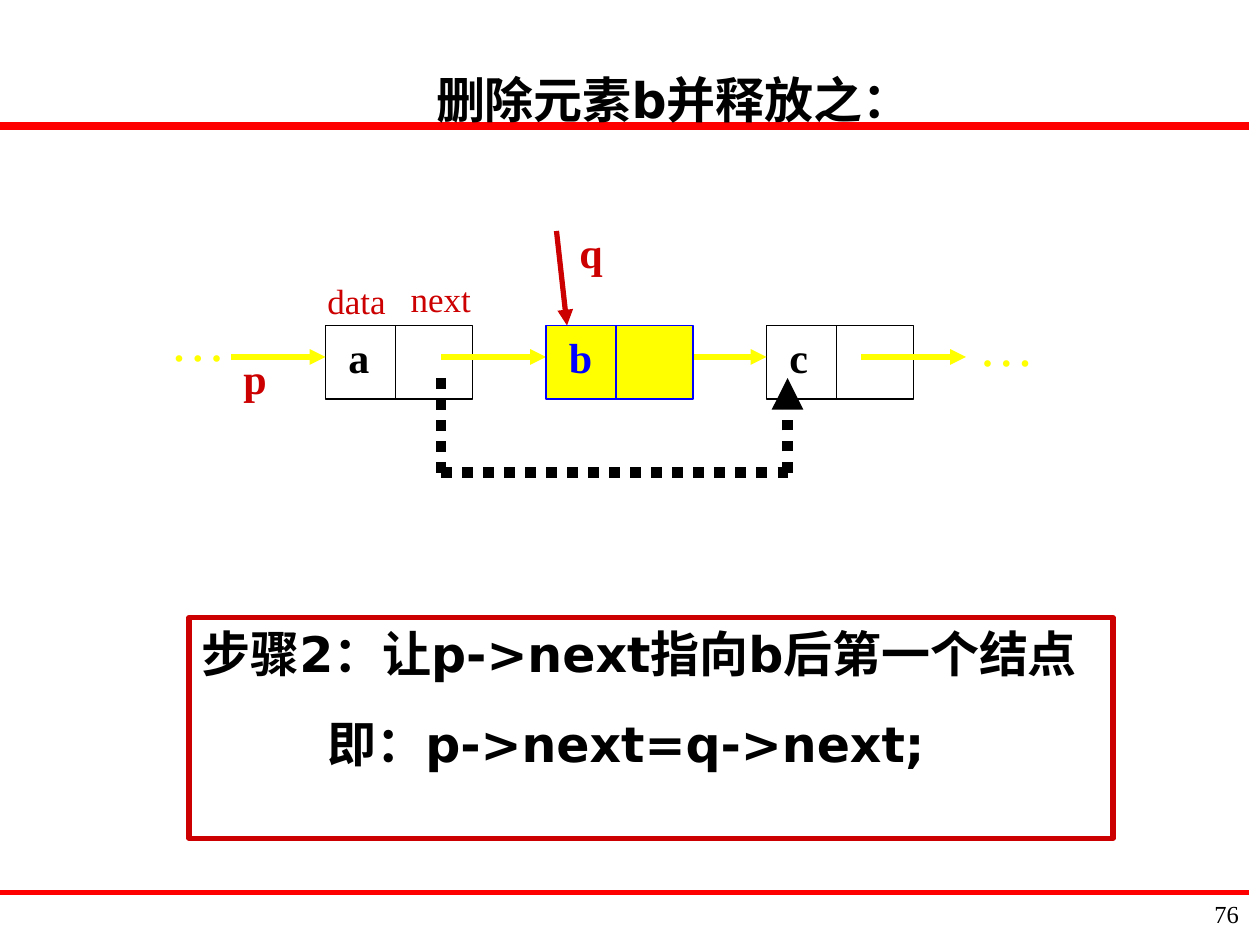
"""Linked-list slide: unlinking element b by redirecting p->next."""
from lxml.etree import SubElement
from pptx import Presentation
from pptx.dml.color import RGBColor
from pptx.enum.dml import MSO_LINE
from pptx.enum.shapes import MSO_CONNECTOR, MSO_SHAPE
from pptx.enum.text import MSO_ANCHOR, PP_ALIGN
from pptx.oxml.ns import qn
from pptx.util import Pt

COLORS = {"rule": "FF0000", "accent": "CC0000", "link": "FFFF00", "ink": "000000",
          "paper": "FFFFFF", "removed": "0000FF", "number": "010000"}
SERIF, SANS = "Times New Roman", "DejaVu Sans"

NODE_TOP, NODE_WIDTH, NODE_HEIGHT, DATA_WIDTH = 186, 84, 42, 40
NODE_LEFT = {name: 186 + 126 * i for i, name in enumerate("abc")}
LINK_Y = 204

RULES = [((0, 510), (714, 510), 3), ((0, 72), (714, 72), 4.5)]
LINKS = [(132, 186), (252, 312), (378, 438), (492, 552)]
BYPASS = [(252, 216), (252, 270), (450, 270), (450, 216)]

LABELS = [
    ("p", 132, 198, 36, 36, 24, True, "accent"),
    ("q", 324, 126, 36, 36, 24, True, "accent"),
    ("data", 180, 156, 60, 32, 20, False, "accent"),
    ("next", 227.5, 155, 49, 32, 20, False, "accent"),
    ("…", 90, 171, 54, 46, 32, False, "link"),
    ("…", 552, 174, 54, 46, 32, False, "link"),
]
TITLE = "删除元素b并释放之："
STEP = [("步骤2：让p->next指向b后第一个结点", 0), ("即：p->next=q->next;", 72)]

prs = Presentation()
prs.slide_width, prs.slide_height = Pt(720), Pt(540)
slide = prs.slides.add_slide(prs.slide_layouts[6])


def rgb(color):
    return RGBColor.from_string(COLORS[color])


def add_line(start, end, color, width, arrow=False, dotted=False):
    line = slide.shapes.add_connector(
        MSO_CONNECTOR.STRAIGHT, *(Pt(v) for v in (*start, *end)))
    line.line.color.rgb = rgb(color)
    line.line.width = Pt(width)
    if dotted:
        line.line.dash_style = MSO_LINE.ROUND_DOT
    if arrow:
        SubElement(line.line._get_or_add_ln(), qn("a:tailEnd"), type="triangle")
    SubElement(line._element.spPr, qn("a:effectLst"))


def add_rect(left, top, width, height, fill, outline, weight):
    rect = slide.shapes.add_shape(
        MSO_SHAPE.RECTANGLE, *(Pt(v) for v in (left, top, width, height)))
    rect.shadow.inherit = False
    if fill:
        rect.fill.solid()
        rect.fill.fore_color.rgb = rgb(fill)
    else:
        rect.fill.background()
    rect.line.color.rgb = rgb(outline)
    rect.line.width = Pt(weight)
    return rect


def write(paragraph, text, size, bold, color, font, align=PP_ALIGN.LEFT):
    paragraph.alignment = align
    run = paragraph.add_run()
    run.text = text
    run.font.size, run.font.bold, run.font.name = Pt(size), bold, font
    run.font.color.rgb = rgb(color)


def add_label(text, left, top, width, height, size, bold, color,
              font=SERIF, align=PP_ALIGN.LEFT):
    label = slide.shapes.add_textbox(*(Pt(v) for v in (left, top, width, height)))
    label.text_frame.word_wrap = text != "next"
    write(label.text_frame.paragraphs[0], text, size, bold, color, font, align)


def add_node(name, fill, outline, ink):
    left = NODE_LEFT[name]
    divider = left + DATA_WIDTH
    add_rect(left, NODE_TOP, NODE_WIDTH, NODE_HEIGHT, fill, outline, 0.75)
    add_line((divider, NODE_TOP), (divider, NODE_TOP + NODE_HEIGHT), outline, 0.75)
    add_label(name, left + 6, NODE_TOP, 42, 36, 24, True, ink)


for start, end, width in RULES:
    add_line(start, end, "rule", width)
add_label("76", 660, 510, 55, 30, 14, False, "number", align=PP_ALIGN.RIGHT)
add_label(TITLE, 144, 36, 482, 41, 28, True, "ink", SANS, PP_ALIGN.CENTER)

for name in "ac":
    add_node(name, "paper", "ink", "ink")
for start, end in LINKS:
    add_line((start, LINK_Y), (end, LINK_Y), "link", 3, arrow=True)
add_node("b", "link", "removed", "removed")
for start, end in zip(BYPASS, BYPASS[1:]):
    add_line(start, end, "ink", 6, arrow=end == BYPASS[-1], dotted=True)
add_line((318, 132), (324, NODE_TOP), "accent", 3, arrow=True)
for label in LABELS:
    add_label(*label)

step_frame = add_rect(108, 353, 528, 126, None, "accent", 3).text_frame
step_frame.word_wrap = True
step_frame.vertical_anchor = MSO_ANCHOR.TOP
for i, (text, indent) in enumerate(STEP):
    paragraph = step_frame.add_paragraph() if i else step_frame.paragraphs[0]
    if i:
        paragraph.space_before = Pt(17.5)
    paragraph._p.get_or_add_pPr().set("marL", str(Pt(indent)))
    write(paragraph, text, 28, True, "ink", SANS)

prs.save("out.pptx")
